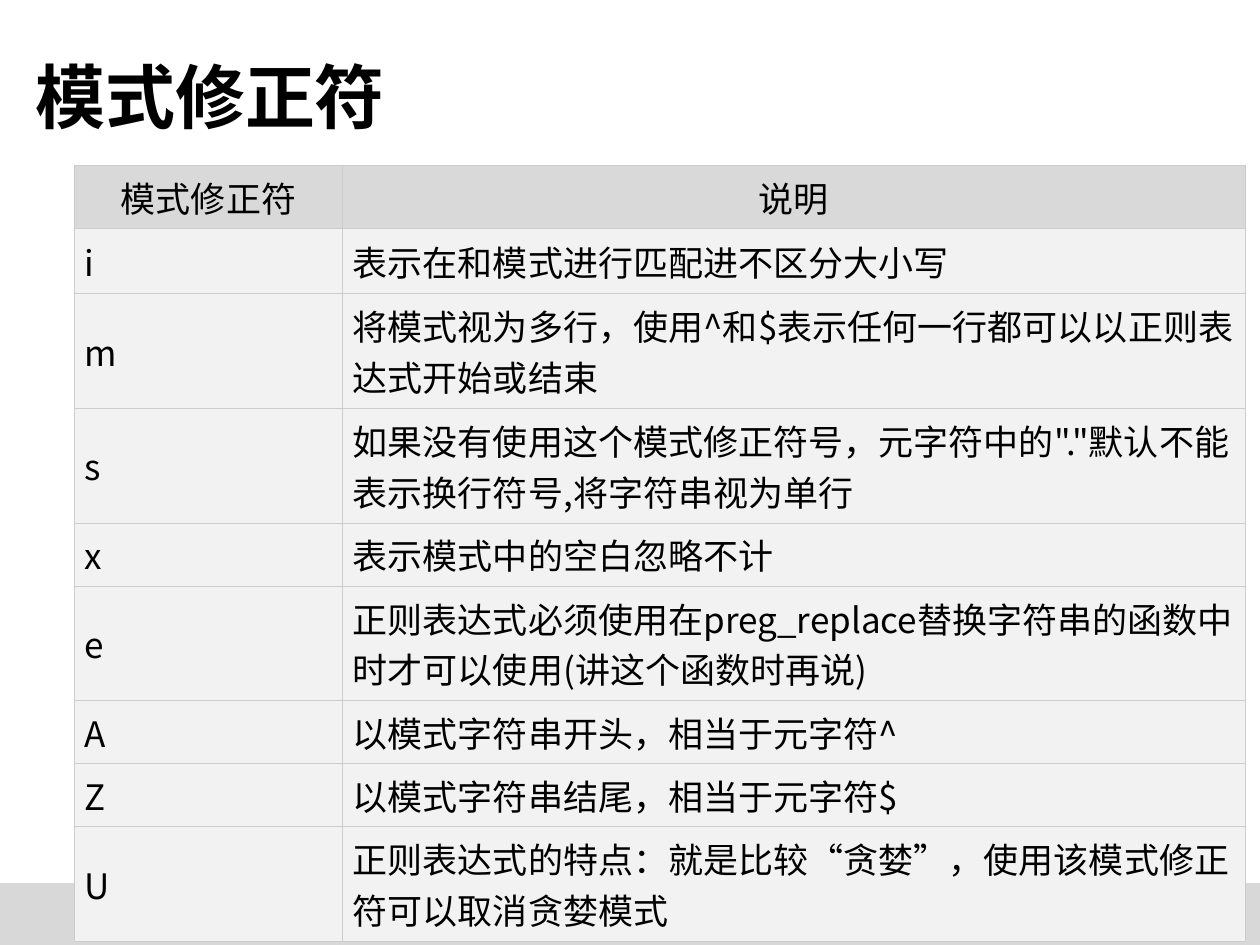
"""Build a slide with a table of regular expression pattern modifiers."""
from lxml import etree
from pptx import Presentation
from pptx.dml.color import RGBColor
from pptx.enum import shapes, text
from pptx.oxml import ns
from pptx.util import Inches, Pt

FONT = "Noto Sans CJK SC"
TITLE = "模式修正符"
ROWS = [
    ("模式修正符", "说明", 0.5),
    ("i", "表示在和模式进行匹配进不区分大小写", 0.52),
    ("m", "将模式视为多行，使用^和$表示任何一行都可以以正则表达式开始或结束", 0.91),
    ("s", "如果没有使用这个模式修正符号，元字符中的\".\"默认不能表示换行符号,将字符串视为单行", 0.91),
    ("x", "表示模式中的空白忽略不计", 0.5),
    ("e", "正则表达式必须使用在preg_replace替换字符串的函数中时才可以使用(讲这个函数时再说)", 0.91),
    ("A", "以模式字符串开头，相当于元字符^", 0.5),
    ("Z", "以模式字符串结尾，相当于元字符$", 0.5),
    ("U", "正则表达式的特点：就是比较“贪婪”，使用该模式修正符可以取消贪婪模式", 0.91),
]
COL_WIDTHS = [2.13, 7.16]


def paint(fill, color):
    fill.solid()
    fill.fore_color.rgb = RGBColor.from_string(color)


def write(tf, content, size, bold=False, align=text.PP_ALIGN.LEFT):
    tf.text = content
    p = tf.paragraphs[0]
    p.alignment = align
    r = p.runs[0]
    r.font.size, r.font.bold = Pt(size), bold
    paint(r.font.fill, "000000")
    r.font.name = FONT
    etree.SubElement(r.font._element, ns.qn("a:ea"), typeface=FONT)


def set_margins(box):
    box.margin_left = box.margin_right = Inches(0.08)
    box.margin_top = box.margin_bottom = Inches(0.05)
    box.vertical_anchor = text.MSO_ANCHOR.MIDDLE


def add_borders(cell, color, width):
    tc_pr = cell._tc.get_or_add_tcPr()
    for i, side in enumerate(("lnL", "lnR", "lnT", "lnB")):
        ln = etree.Element(ns.qn(f"a:{side}"), w=str(Pt(width)))
        fill = etree.SubElement(ln, ns.qn("a:solidFill"))
        etree.SubElement(fill, ns.qn("a:srgbClr"), val=color)
        tc_pr.insert(i, ln)


def add_table(s):
    height = sum(row[-1] for row in ROWS)
    table = s.shapes.add_table(
        len(ROWS), len(COL_WIDTHS), Inches(0.59), Inches(1.31),
        Inches(sum(COL_WIDTHS)), Inches(height)).table
    for col, width in zip(table.columns, COL_WIDTHS):
        col.width = Inches(width)
    for i, (*words, row_height) in enumerate(ROWS):
        table.rows[i].height = Inches(row_height)
        align = text.PP_ALIGN.LEFT if i else text.PP_ALIGN.CENTER
        for cell, word in zip(table.rows[i].cells, words):
            paint(cell.fill, "F2F2F2" if i else "D9D9D9")
            set_margins(cell)
            add_borders(cell, "CCCCCC", 0.34)
            write(cell.text_frame, word, 20, align=align)


def main():
    prs = Presentation()
    prs.slide_width, prs.slide_height = Inches(10), Inches(7.5)
    s = prs.slides.add_slide(prs.slide_layouts[6])

    band = s.shapes.add_shape(shapes.MSO_SHAPE.RECTANGLE, 0, Inches(7.01),
                              Inches(10), Inches(0.49))
    band.shadow.inherit = False
    band.line.fill.background()
    paint(band.fill, "D8D8D8")

    title = s.shapes.add_textbox(Inches(0.2), Inches(0.44), Inches(4.88), Inches(0.63))
    paint(title.fill, "FFFFFF")
    tf = title.text_frame
    tf.word_wrap = True
    set_margins(tf)
    write(tf, TITLE, 40, bold=True)

    add_table(s)
    prs.save("out.pptx")


if __name__ == "__main__":
    main()
